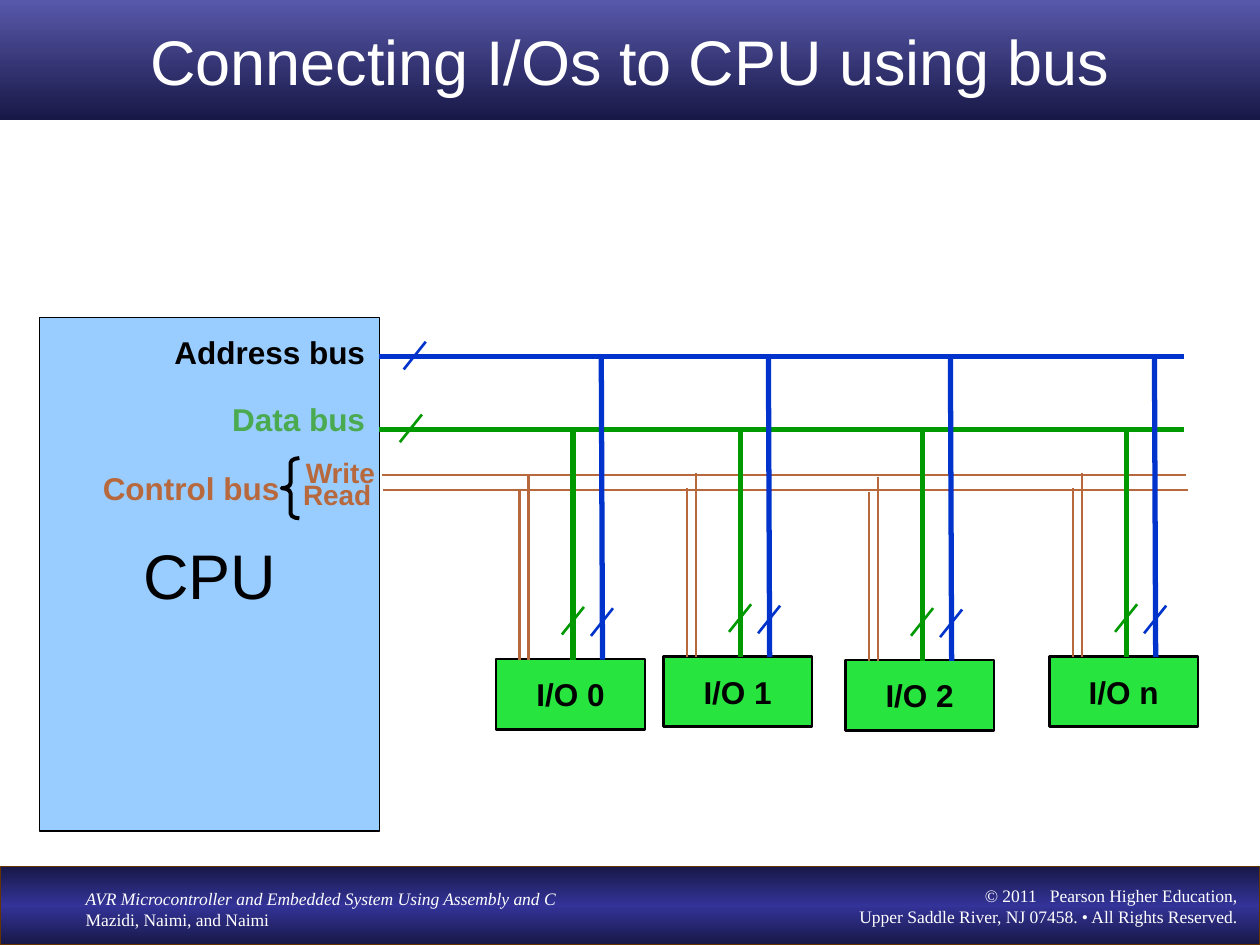
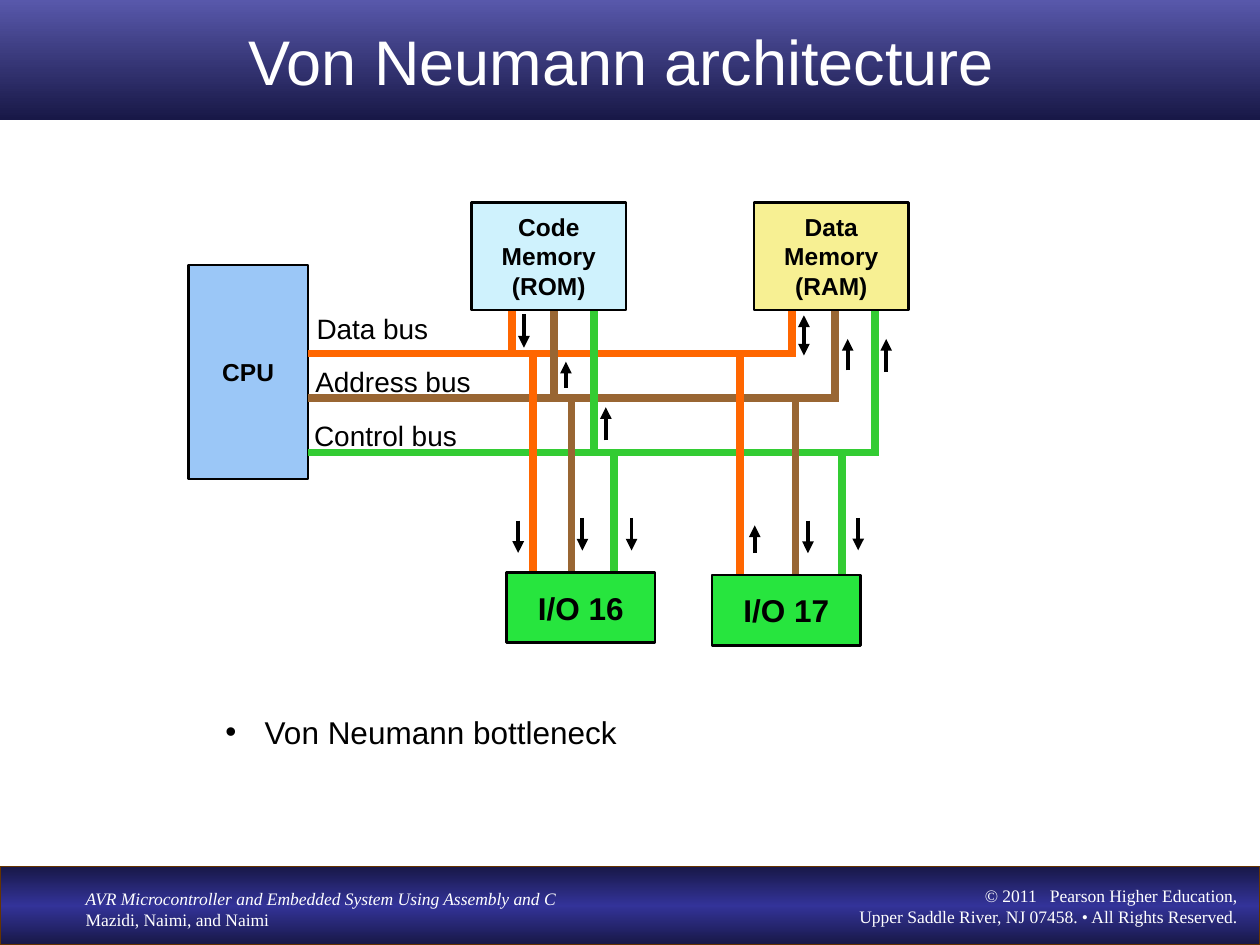
from collections import namedtuple

from lxml import etree
from pptx import Presentation
from pptx import util as u
from pptx.dml import color
from pptx.enum import shapes, text
from pptx.oxml import ns

Pt = u.Pt
Box = namedtuple("Box", "left top width height")
LEFT, CENTER, RIGHT = text.PP_ALIGN.LEFT, text.PP_ALIGN.CENTER, text.PP_ALIGN.RIGHT
RECT = shapes.MSO_SHAPE.RECTANGLE

# Colours
WHITE, BLACK, NAVY, INDIGO, VIOLET = "FFFFFF", "000000", "181847", "333399", "5858AB"
BLUE, GREEN, COPPER = "0033CC", "009900", "B7693D"
ORANGE, BROWN, LIME, IO_GREEN = "FF6600", "996633", "33CC33", "27E53E"

# Text formats
TITLE = {"name": "Arial", "size": Pt(36), "bold": False}
PLAIN_18 = {"name": "Arial", "size": Pt(18), "bold": False}
PLAIN_16 = {"name": "Arial", "size": Pt(16), "bold": False}
BOLD_18 = {"name": "Arial", "size": Pt(18), "bold": True}
BOLD_16 = {"name": "Arial", "size": Pt(16), "bold": True}
BOLD_14 = {"name": "Arial", "size": Pt(14), "bold": True}
FOOTER = {"name": "Times New Roman", "size": Pt(10), "bold": False}


def rgb(value):
    return color.RGBColor.from_string(value)


def add_xml(parent, tag, **attributes):
    return etree.SubElement(parent, ns.qn(tag), attributes)


def write(shape, lines, style, ink=BLACK, align=LEFT, wrap=True,
          anchor=text.MSO_ANCHOR.TOP):
    frame = shape.text_frame
    frame.word_wrap, frame.vertical_anchor = wrap, anchor
    frame.text = lines
    for paragraph in frame.paragraphs:
        paragraph.alignment = align
        for run in paragraph.runs:
            run.font.color.rgb = rgb(ink)
            for name, value in style.items():
                setattr(run.font, name, value)
    return frame


def label(slide, box, words, style, ink=BLACK, align=LEFT):
    return write(slide.shapes.add_textbox(*map(Pt, box)), words, style, ink, align)


def block(slide, box, fill=None, words="", style=BOLD_18, ink=BLACK, outline=BLACK,
          weight=1.5, wrap=False, kind=RECT):
    shape = slide.shapes.add_shape(kind, *map(Pt, box))
    shape.shadow.inherit = False
    if fill:
        shape.fill.solid()
        shape.fill.fore_color.rgb = rgb(fill)
    else:
        shape.fill.background()
    if outline:
        shape.line.color.rgb = rgb(outline)
        shape.line.width = Pt(weight)
    else:
        shape.line.fill.background()
    if words:
        write(shape, words, style, ink, CENTER, wrap, text.MSO_ANCHOR.MIDDLE)
    return shape


def shade(shape, *tones):
    """Fill with evenly spaced tones from top to bottom."""
    shape.fill.gradient()
    shape.fill.gradient_angle = 270
    stops = shape._element.spPr.find(ns.qn("a:gradFill")).find(ns.qn("a:gsLst"))
    for stop in list(stops):
        stops.remove(stop)
    for i, tone in enumerate(tones):
        stop = add_xml(stops, "a:gs", pos=str(100000 * i // (len(tones) - 1)))
        add_xml(stop, "a:srgbClr", val=tone)


def wire(slide, x1, y1, x2, y2, ink=BLACK, weight=2.25, ends=()):
    line = slide.shapes.add_connector(shapes.MSO_CONNECTOR.STRAIGHT,
                                      *map(Pt, (x1, y1, x2, y2)))
    line.line.color.rgb = rgb(ink)
    line.line.width = Pt(weight)
    for end in ends:
        add_xml(line.line._ln, end, type="triangle")
    add_xml(line._element.spPr, "a:effectLst")


def slash(slide, x, y, ink):
    """Bus-width mark centred on a wire."""
    wire(slide, x + 6.3, y - 7.9, x - 6.3, y + 7.9, ink, 1.5)


# Shared title and footer bands
def title_band(slide, box, words):
    band = block(slide, box, NAVY, words, TITLE, WHITE, None, wrap=True)
    shade(band, VIOLET, NAVY)


def footer_band(slide, box):
    shade(block(slide, box, NAVY, outline="663300", weight=0.75), NAVY, INDIGO, NAVY)
    book = label(slide, Box(box.left + 41.8, box.top + 8.6, 298, 32),
                 "AVR Microcontroller and Embedded System Using Assembly and C\n"
                 "Mazidi, Naimi, and Naimi", FOOTER, WHITE)
    book.paragraphs[0].runs[0].font.italic = True
    label(slide, Box(box.left + 414, box.top + 7.2, 300, 32),
          "© 2011   Pearson Higher Education,\v"
          "Upper Saddle River, NJ 07458. • All Rights Reserved.", FOOTER, WHITE, RIGHT)


def new_slide(deck, title):
    slide = deck.slides.add_slide(deck.slide_layouts[6])
    footer_band(slide, Box(0, 495, 720, 45))
    title_band(slide, Box(0, 0, 720, 68.5), title)
    return slide


# Slide 1: CPU with its bus names
def bus_cpu(slide, box):
    block(slide, box, "99CCFF", "CPU", TITLE, weight=0.75)
    names = [("Address bus", 62.6, 5.3, 130.3, BOLD_18, BLACK),
             ("Data bus", 62.6, 43.2, 130.3, BOLD_18, "4AAA4F"),
             ("Control bus", 8, 82.8, 136, BOLD_18, COPPER),
             ("Write", 134.6, 75, 64, BOLD_16, COPPER),
             ("Read", 136, 87.8, 60.5, BOLD_16, COPPER)]
    for name, x, y, width, style, ink in names:
        label(slide, Box(box.left + x, box.top + y, width, 28.8), name, style, ink, RIGHT)
    brace = block(slide, Box(box.left + 138.2, box.top + 80.2, 10.1, 34.4),
                  weight=2.25, kind=shapes.MSO_SHAPE.LEFT_BRACE)
    brace.adjustments[0] = 0.28


def bus_lines(slide, box):
    buses = [(0, 0, BLUE, 3), (0, 41.6, GREEN, 3),
             (1.4, 67.6, COPPER, 1), (2, 76.3, COPPER, 1)]
    for x, y, ink, weight in buses:
        wire(slide, box.left + x, box.top + y, box.left + box.width + x, box.top + y,
             ink, weight)
    slash(slide, box.left + 20.2, box.top - 0.7, BLUE)
    slash(slide, box.left + 18, box.top + 40.9, GREEN)


def bus_device(slide, box, name):
    block(slide, box, IO_GREEN, name)
    # Offset in the box, rise to the bus, colour, weight
    drops = [(60.1, 172.1, BLUE, 3), (44, 131, GREEN, 3),
             (18.7, 104.8, COPPER, 1.5), (13.5, 96, COPPER, 1.5)]
    for x, rise, ink, weight in drops:
        lean = 0.7 if ink == BLUE else 0
        wire(slide, box.left + x, box.top - rise, box.left + x + lean, box.top + 0.5,
             ink, weight)
    slash(slide, box.left + 60.5, box.top - 21, BLUE)
    slash(slide, box.left + 43.9, box.top - 21.8, GREEN)


def bus_slide(deck):
    slide = new_slide(deck, "Connecting I/Os to CPU using bus")
    bus_cpu(slide, Box(22.8, 181.6, 194, 293.4))
    bus_lines(slide, Box(216.8, 203.9, 459.8, 77))
    devices = [("I/O 0", 283.5, 376.5), ("I/O 1", 379, 375),
               ("I/O 2", 483, 377.2), ("I/O n", 599.6, 375)]
    for name, left, top in devices:
        bus_device(slide, Box(left, top, 85, 40.3), name)


# Slide 2: three buses shared by memories and devices
BUS_INKS = (ORANGE, BROWN, LIME)
BUS_LEVELS = (202, 227.6, 258.6)
DOWN, UP, BOTH = "down", "up", "both"


def shared_cpu(slide, box, bus_ends):
    block(slide, box, "9BC7F7", "CPU", BOLD_14)
    names = [("Data bus", 174.6), ("Address bus", 204.8), ("Control bus", 235.5)]
    right = box.left + box.width
    for i, (name, top) in enumerate(names):
        wire(slide, bus_ends[i], BUS_LEVELS[i], right, BUS_LEVELS[i], BUS_INKS[i], 4.5)
        label(slide, Box(right - 2.2 - 0.7 * (i != 0) - 0.7 * (i == 2), top, 109, 27),
              name, PLAIN_16)


def module(slide, box, name, fill, style, drops, arrows):
    """A memory or device; drops are wire offsets, arrows are (x, top, bottom, way)."""
    below = box.top > BUS_LEVELS[-1]
    edge = box.top if below else box.top + box.height
    for x, level, ink in zip(drops, BUS_LEVELS, BUS_INKS):
        wire(slide, box.left + x, edge, box.left + x, level + (-2 if below else 2), ink, 4.5)
    for x, top, bottom, way in arrows:
        start, end = (bottom, top) if way == UP else (top, bottom)
        ends = ("a:headEnd", "a:tailEnd") if way == BOTH else ("a:tailEnd",)
        wire(slide, box.left + x, box.top + start, box.left + x, box.top + end, ends=ends)
    block(slide, box, fill, name, style)


def bottleneck_note(slide, box):
    frame = label(slide, box, "Von Neumann bottleneck", PLAIN_18)
    props = frame.paragraphs[0]._p.get_or_add_pPr()
    props.set("marL", str(Pt(22.5)))
    props.set("indent", str(-Pt(22.5)))
    add_xml(add_xml(props, "a:buClr"), "a:srgbClr", val=BLACK)
    add_xml(props, "a:buFont", typeface="Arial")
    add_xml(props, "a:buChar", char="•")


def von_neumann_slide(deck):
    slide = new_slide(deck, "Von Neumann architecture ")
    shared_cpu(slide, Box(107.6, 151.5, 68.4, 122.2), (452.5, 477.5, 502))
    module(slide, Box(269.4, 115.7, 88.4, 61.4), "Code\nMemory\n(ROM)", "CFF2FD", BOLD_14,
           (23, 47.4, 69.8),
           [(30, 64, 83, DOWN), (54, 91, 106, UP), (76.8, 117, 136, UP)])
    module(slide, Box(430.8, 115.7, 88.4, 61.4), "Data\nMemory\n(RAM)", "F7F093", BOLD_14,
           (22, 46.4, 69),
           [(28.6, 64.5, 87.5, BOTH), (53.6, 78, 96, UP), (75.6, 78, 97, UP)])
    module(slide, Box(289.4, 327, 85, 40.3), "I/O 16", IO_GREEN, BOLD_18,
           (15.2, 37.2, 61.4),
           [(6.7, -29.5, -11, DOWN), (43.4, -31, -12.4, DOWN), (71.5, -31, -12.4, DOWN)])
    module(slide, Box(406.8, 328.5, 85, 40.3), "I/O 17", IO_GREEN, BOLD_18,
           (16.2, 47.8, 74.6),
           [(24.5, -28.3, -12.4, UP), (54.9, -31, -12.4, DOWN), (83.6, -32.5, -14, DOWN)])
    bottleneck_note(slide, Box(121.7, 404, 239, 28.8))


def main():
    deck = Presentation()
    deck.slide_width, deck.slide_height = Pt(720), Pt(540)
    bus_slide(deck)
    von_neumann_slide(deck)
    deck.save("out.pptx")


if __name__ == "__main__":
    main()
